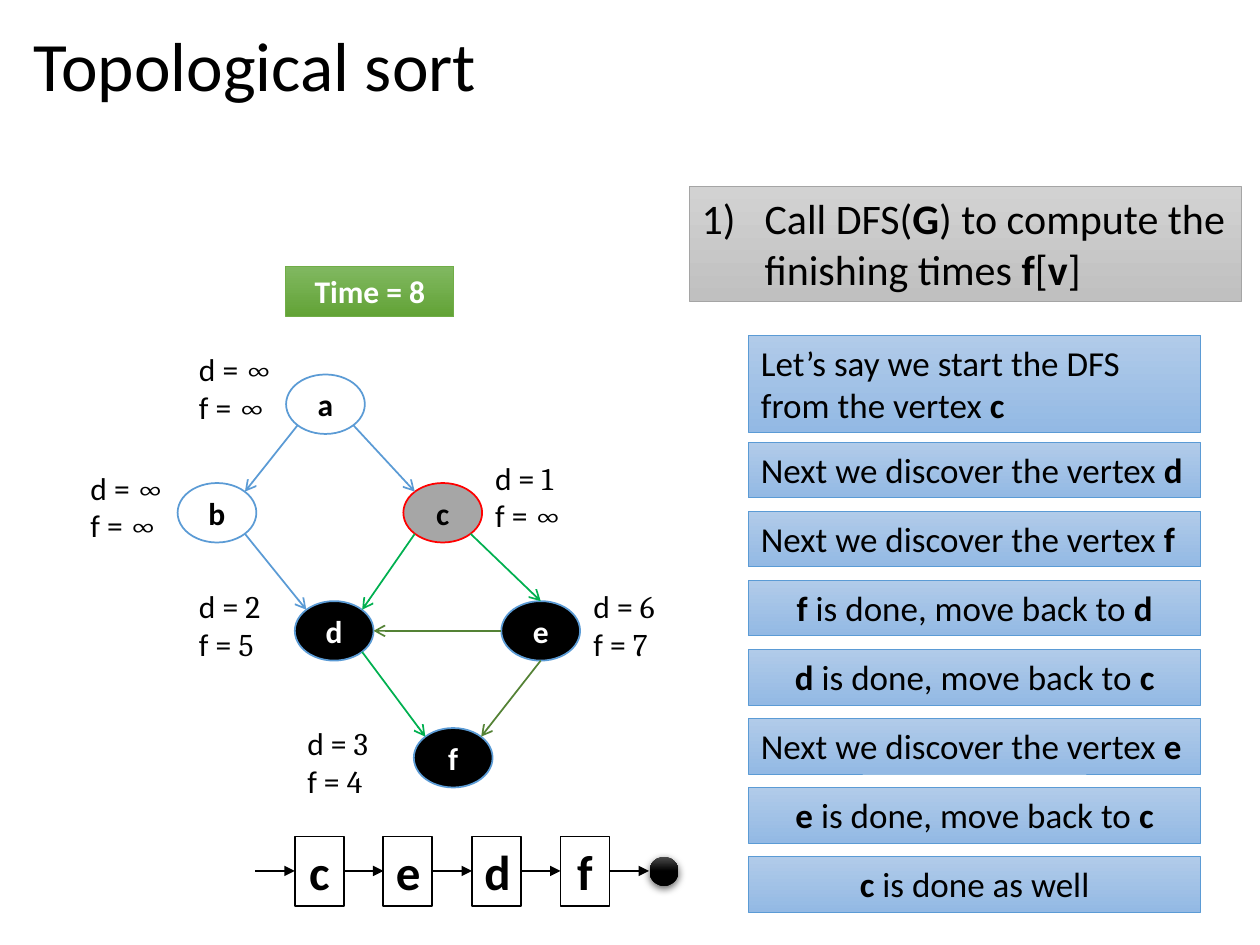
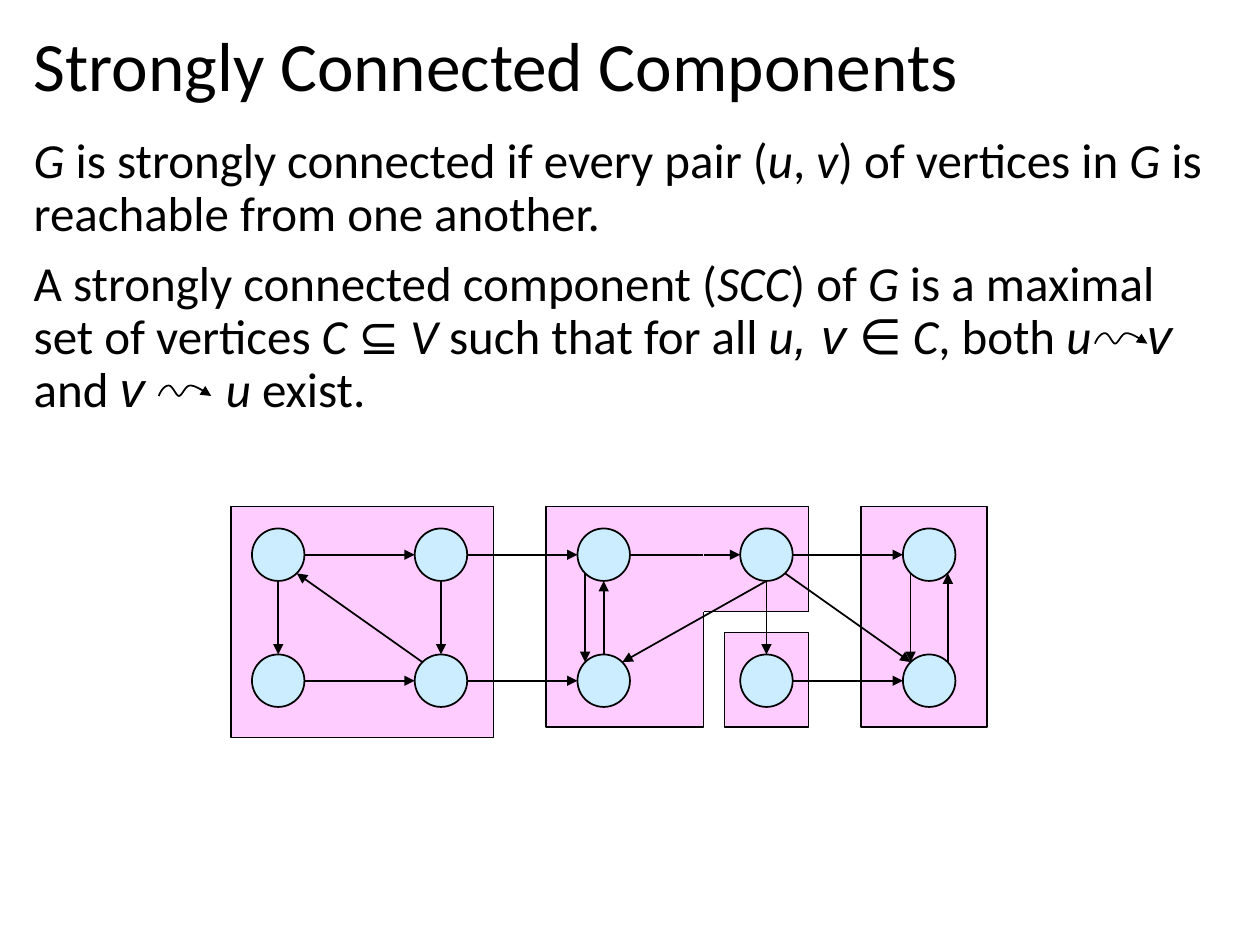
from lxml.etree import SubElement
from pptx import Presentation
from pptx.dml.color import RGBColor
from pptx.enum.shapes import MSO_CONNECTOR, MSO_SHAPE
from pptx.enum.text import MSO_ANCHOR, PP_ALIGN
from pptx.oxml.ns import qn
from pptx.util import Pt

# Shared colours and formats
HUES = {
    "ink": "000000", "white": "FFFFFF", "grey": "A6A6A6", "red": "FF0000",
    "blue": "5B9BD5", "green": "00B050", "olive": "548235",
    "pink": "FFCCFF", "sky": "CCECFF", "leaf": "70AD47", "ash": "A5A5A5",
    "blue top": "B1CBE9", "blue end": "93B9E4",
    "leaf top": "81B861", "leaf end": "62A336",
    "ash top": "D2D2D2", "ash end": "C0C0C0", "soot": "4B4B4B",
}
RGB = {name: RGBColor.from_string(code) for name, code in HUES.items()}
BOLD, ITALIC, MATH = {"bold": True}, {"italic": True}, {"name": "Cambria"}
MID = {"alignment": PP_ALIGN.CENTER}
PROSE = {"line_spacing": 0.9, "space_before": Pt(10)}
RECT, OVAL = MSO_SHAPE.RECTANGLE, MSO_SHAPE.OVAL


def box(page, form, at, text="", fill=None, edge=None, wide=1, size=18,
        hue="ink", mark=BOLD, para=MID, anchor=MSO_ANCHOR.TOP):
    """Shape, or text box if form is None; the odd parts between bars get mark."""
    spot = [Pt(n) for n in at]
    if form is None:
        item = page.shapes.add_textbox(*spot)
    else:
        item = page.shapes.add_shape(form, *spot)
        item.shadow.inherit = False
        if isinstance(fill, tuple):
            item.fill.gradient()
            item.fill.gradient_angle = 270
            for stop, name in zip(item.fill.gradient_stops, fill):
                stop.color.rgb = RGB[name]
        else:
            item.fill.solid()
            item.fill.fore_color.rgb = RGB[fill]
        if edge:
            item.line.color.rgb = RGB[edge]
            item.line.width = Pt(wide)
        else:
            item.line.fill.background()
    frame = item.text_frame
    frame.word_wrap = True
    frame.vertical_anchor = anchor
    for row, line in enumerate(text.split("\n") if text else []):
        par = frame.add_paragraph() if row else frame.paragraphs[0]
        for key, value in para.items():
            setattr(par, key, value)
        for turn, part in enumerate(line.split("|")):
            if part:
                run = par.add_run()
                run.text = part
                run.font.color.rgb = RGB[hue]
                look = {"name": "Calibri", "size": Pt(size)}
                look.update(mark if turn % 2 else {})
                for key, value in look.items():
                    setattr(run.font, key, value)
    return item


def link(page, points, hue="ink", tip="triangle"):
    """Straight connector for two points, open outline for more."""
    spots = [(Pt(x), Pt(y)) for x, y in points]
    if len(spots) == 2:
        item = page.shapes.add_connector(MSO_CONNECTOR.STRAIGHT, *spots[0], *spots[1])
    else:
        pen = page.shapes.build_freeform(*spots[0])
        pen.add_line_segments(spots[1:], close=False)
        item = pen.convert_to_shape()
        item.fill.background()
    item.line.color.rgb = RGB[hue]
    item.line.width = Pt(1)
    props = item._element.spPr
    if tip:
        SubElement(props.find(qn("a:ln")), qn("a:tailEnd"), type=tip)
    SubElement(props, qn("a:effectLst"))


deck = Presentation()
deck.slide_width, deck.slide_height = Pt(720), Pt(540)
sort, parts = [deck.slides.add_slide(deck.slide_layouts[6]) for _ in range(2)]
for page, title in ((sort, "Topological sort"), (parts, "Strongly Connected Components")):
    box(page, None, (12.2, 13, 692.6, 53.3), title, size=39.6,
        para={"line_spacing": 0.9}, anchor=MSO_ANCHOR.MIDDLE)

# Sort: vertices with discovery and finishing times
graph = {}
for name, x, y, fill, edge, hue, left, top, found, done in (
    ("a", 186, 231, "white", "blue", "ink", 106.6, 196.6, "∞", "∞"),
    ("b", 124, 293, "white", "blue", "ink", 44.6, 264.2, "∞", "∞"),
    ("c", 253, 293, "grey", "red", "ink", 275.8, 258.5, "1", "∞"),
    ("d", 191, 360.5, "ink", "blue", "white", 106.6, 332, "2", "5"),
    ("e", 309, 360.5, "ink", "blue", "white", 332, 332, "6", "7"),
    ("f", 259, 433, "ink", "blue", "white", 168.5, 410.4, "3", "4"),
):
    graph[name] = (x, y)
    box(sort, OVAL, (x - 22.5, y - 17, 45, 34), "|" + name, fill, edge,
        hue=hue, anchor=MSO_ANCHOR.MIDDLE)
    box(sort, None, (left, top, 68, 51), f"d = |{found}\nf = |{done}", mark=MATH, para={})

# Sort: clock and task
box(sort, RECT, (163.4, 152, 96, 29), "|Time = 8", ("leaf top", "leaf end"),
    "leaf", 0.5, hue="white")
task = box(sort, RECT, (393.8, 106.6, 315.4, 65.5),
           "Call DFS(|G|) to compute the finishing times |f|[|v|]",
           ("ash top", "ash end"), "ash", 0.5, 24, para={"alignment": PP_ALIGN.LEFT})
props = task.text_frame.paragraphs[0]._p.get_or_add_pPr()
props.set("marL", str(Pt(36)))
props.set("indent", str(-Pt(36)))
SubElement(props, qn("a:buAutoNum"), type="arabicParenR")

# Sort: steps
steps = (
    "Let’s say we start the DFS from the vertex |c",
    "Next we discover the vertex |d",
    "Next we discover the vertex |f",
    "|f |is done, move back to |d",
    "|d |is done, move back to |c",
    "Next we discover the vertex |e",
    "|e |is done, move back to |c",
    "|c |is done as well",
)
for row, text in enumerate(steps):
    top, high = (213.4 + 39.45 * row, 31.7) if row else (191.5, 55.4)
    side = PP_ALIGN.CENTER if text.startswith("|") else PP_ALIGN.LEFT
    box(sort, RECT, (427.7, top, 258.5, high), text, ("blue top", "blue end"),
        "blue", 0.5, 20, para={"alignment": side})

# Sort: linked list
for col, name in enumerate(("c", "e", "d", "f", None)):
    x = 168.5 + 50.6 * col
    link(sort, ((x - 22.6, 497.7), (x, 497.7)))
    if name:
        box(sort, RECT, (x, 478, 28, 39.6), "|" + name, "white", "ink",
            size=28, anchor=MSO_ANCHOR.MIDDLE)
ball = box(sort, OVAL, (371.2, 489.6, 16.5, 16.5), fill=("soot", "ink"))
ball.fill.gradient_stops[1].position = 0.5
glow = SubElement(ball._element.spPr.find(qn("a:effectLst")), qn("a:outerShdw"),
                  blurRad=str(Pt(4.5)), dist=str(Pt(1.5)), dir="5400000", rotWithShape="0")
tone = SubElement(glow, qn("a:srgbClr"), val=HUES["ink"])
SubElement(tone, qn("a:alpha"), val="63000")

# Components: definition, with room for the two wavy arrows
body = box(
    parts, None, (12.2, 74.2, 692.6, 412.6),
    "|G| is strongly connected if every pair (|u|, |v|) of vertices in |G |"
    "is reachable from one another.\n"
    "A strongly connected component (|SCC|) of |G |is a maximal set of vertices "
    "|C |⊆ |V |such that for all |u||, v |∈ |C|, both |u|| ||v |and |v|| ||u| exist.",
    size=28, mark=ITALIC, para=PROSE)
gaps = iter((25.3, 40.4))
for run in body.text_frame.paragraphs[1].runs:
    if run.font.italic and "v" in run.text:
        run.font.name = "Arial"
    if run.text == " ":
        run._r.get_or_add_rPr().set("spc", str(round(next(gaps) * 100)))

bends = ((0, 6), (1.5, 2.5), (3.5, 0), (5.8, 0), (8, 0), (10, 6), (11.5, 6),
         (13.5, 6), (15, 0), (18, 0), (21, 0), (25.5, 3), (30, 6))
wave = [bends[0]]
for k in range(0, 12, 3):
    for t in (n / 8 for n in range(1, 9)):
        rates = ((1 - t) ** 3, 3 * t * (1 - t) ** 2, 3 * t * t * (1 - t), t ** 3)
        wave.append([sum(r * p[i] for r, p in zip(rates, bends[k:k + 4])) for i in (0, 1)])
for left, top in ((625.7, 190.4), (90.7, 220.3)):
    link(parts, [(left + x, top + y) for x, y in wave])

# Components: areas and vertices
for at in ((414, 361.5, 48, 54), (492, 289.5, 72, 126), (402, 289.5, 60, 60),
           (312, 289.5, 90, 126), (132, 289.5, 150, 132)):
    box(parts, RECT, at, fill="pink", edge="ink")
net = {}
for n, name in enumerate("abcdefghij"):
    x, y = net[name] = 159 + 93 * (n % 5), 317 + 72 * (n // 5)
    box(parts, OVAL, (x - 15, y - 15, 30, 30), fill="sky", edge="ink")

# Edges of both graphs: vertex and side at each end
ways = {"N": (0, -1), "S": (0, 1), "E": (1, 0), "W": (-1, 0), "NE": (0.71, -0.71),
        "NW": (-0.71, -0.71), "SE": (0.71, 0.71), "SW": (-0.71, 0.71)}
for page, nodes, wide, high, tip, hue, edges in (
    (sort, graph, 22.5, 17, "arrow", "blue", "a SW b NE,a SE c NW,b SE d NW"),
    (sort, graph, 22.5, 17, "arrow", "green", "c SE e N,c SW d NE,d SE f NW"),
    (sort, graph, 22.5, 17, "arrow", "olive", "e W d E,e S f NE"),
    (parts, net, 15, 15, "triangle", "ink",
     "a E b W,a S f N,b S g N,f E g W,g NW a SE,c E d W,d S h NE,h N c S,c SW h NW,"
     "d S i N,e SW j NW,j NE e SE,d E e W,d SE j NW,i E j W,b E c W,g E h W"),
):
    for edge in edges.split(","):
        one, out, two, into = edge.split()
        link(page, [(nodes[v][0] + wide * ways[s][0], nodes[v][1] + high * ways[s][1])
                    for v, s in ((one, out), (two, into))], hue, tip)

# Seam between the two halves of the bent area
link(parts, ((402, 289.5), (402, 349.5)), "pink", None)

deck.save("out.pptx")
